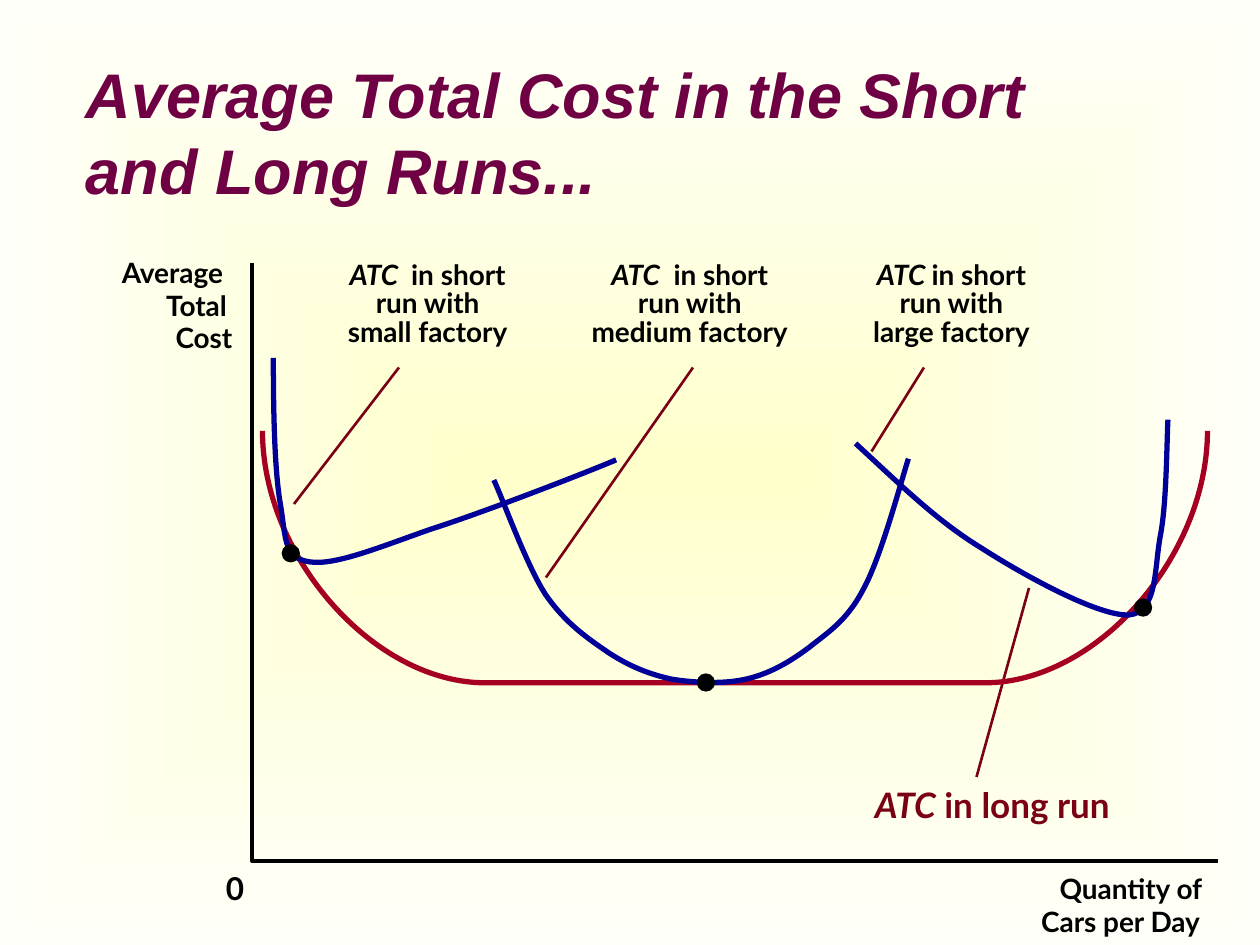
import pptx
import pptx.dml.color
import pptx.enum.shapes
import pptx.enum.text
import pptx.oxml
import pptx.oxml.ns
import pptx.util
from dataclasses import dataclass
from lxml import etree

Pt = pptx.util.Pt
qn = pptx.oxml.ns.qn
RGB = pptx.dml.color.RGBColor
ALIGN = pptx.enum.text.PP_ALIGN
Point = tuple[float, float]

BLACK = RGB(0x00, 0x00, 0x00)
PLUM = RGB(0x6E, 0x00, 0x43)
MAROON = RGB(0x79, 0x00, 0x15)
RED = RGB(0xA5, 0x00, 0x21)
BLUE = RGB(0x00, 0x00, 0x99)
BG_CENTER = RGB(0xFF, 0xFF, 0xCC)
BG_EDGE = RGB(0xFF, 0xFF, 0xFA)

DOT = 9.4    # diameter of a tangency point


@dataclass
class Label:
    """Text box; each line is a list of (text, italic) runs."""
    x: float
    y: float
    w: float
    h: float
    lines: list[list[tuple[str, bool]]]
    size: float = 16
    color: RGB = BLACK
    font: str = "Lato"
    align: ALIGN = ALIGN.LEFT
    spacing: float = 1.0
    inset: Point = (0, 0)
    wrap: bool = False
    middle: bool = False


@dataclass
class Leader:
    start: Point
    end: Point


@dataclass
class Outline:
    """Start point, then segments: (end,) is straight, (control, control, end) is curved."""
    color: RGB
    width: float
    start: Point
    segments: list[tuple[Point, ...]]


def plain(x: float, y: float, w: float, h: float, text: str, size: float = 16) -> Label:
    return Label(x, y, w, h, [[(text, False)]], size)


def factory(x: float, w: float, atc: str, rest: str, size_name: str) -> Label:
    return Label(x, 150, w, 49, [[(atc, True), (rest, False)], [("run with", False)],
                                 [(f"{size_name} factory", False)]],
                 align=ALIGN.CENTER, spacing=0.85)


def add_label(s, label: Label) -> None:
    sp = s.shapes.add_textbox(Pt(label.x), Pt(label.y), Pt(label.w), Pt(label.h))
    tf = sp.text_frame
    tf.word_wrap = label.wrap
    tf.margin_left = tf.margin_right = Pt(label.inset[0])
    tf.margin_top = tf.margin_bottom = Pt(label.inset[1])
    if label.middle:
        tf.vertical_anchor = pptx.enum.text.MSO_ANCHOR.MIDDLE
    else:
        tf.auto_size = pptx.enum.text.MSO_AUTO_SIZE.SHAPE_TO_FIT_TEXT
    for i, line in enumerate(label.lines):
        p = tf.add_paragraph() if i else tf.paragraphs[0]
        p.alignment = label.align
        p.line_spacing = label.spacing
        p.font.name = label.font
        p.font.size = Pt(label.size)
        p.font.bold = True
        p.font.color.rgb = label.color
        for text, italic in line:
            r = p.add_run()
            r.text = text
            r.font.italic = italic


def add_leader(s, leader: Leader) -> None:
    ends = [Pt(v) for v in leader.start + leader.end]
    cx = s.shapes.add_connector(pptx.enum.shapes.MSO_CONNECTOR.STRAIGHT, *ends)
    cx.line.color.rgb = MAROON
    cx.line.width = Pt(1.5)
    etree.SubElement(cx._element.spPr, qn("a:effectLst"))


def add_outline(s, outline: Outline) -> None:
    fb = s.shapes.build_freeform(*map(Pt, outline.start))
    fb.add_line_segments([tuple(map(Pt, seg[-1])) for seg in outline.segments], close=False)
    sp = fb.convert_to_shape()
    # Turn the straight pieces that have control points into Bezier pieces
    pieces = list(sp._element.iter(qn("a:lnTo")))
    for piece, seg in zip(pieces, outline.segments):
        if len(seg) == 3:
            piece.tag = qn("a:cubicBezTo")
            for i, (x, y) in enumerate(seg[:2]):
                pt = etree.Element(qn("a:pt"), x=str(Pt(x) - sp.left), y=str(Pt(y) - sp.top))
                piece.insert(i, pt)
    sp.shadow.inherit = False
    sp.fill.background()
    sp.line.color.rgb = outline.color
    sp.line.width = Pt(outline.width)


def add_dot(s, center: Point) -> None:
    x, y = center
    sp = s.shapes.add_shape(pptx.enum.shapes.MSO_SHAPE.OVAL, Pt(x - DOT / 2),
                            Pt(y - DOT / 2), Pt(DOT), Pt(DOT))
    sp.shadow.inherit = False
    sp.fill.solid()
    sp.fill.fore_color.rgb = BLACK
    sp.line.color.rgb = BLACK
    sp.line.width = Pt(1)


def set_background(s) -> None:
    fill = s.background.fill
    fill.gradient()
    for stop, color in zip(fill.gradient_stops, (BG_CENTER, BG_EDGE)):
        stop.color.rgb = color
    lin = next(s._element.iter(qn("a:lin")))
    lin.getparent().replace(lin, pptx.oxml.parse_xml(
        f'<a:path {pptx.oxml.ns.nsdecls("a")} path="rect">'
        '<a:fillToRect l="50000" t="50000" r="50000" b="50000"/></a:path>'))


LABELS = [
    Label(42, 30, 612, 90, [[("Average Total Cost in the Short and Long Runs...", True)]],
          36, PLUM, "Arial", inset=(7.2, 3.6), wrap=True, middle=True),
    # Axis names and the zero mark
    plain(605.5, 498.2, 91.4, 19.4, "Quantity of"),
    plain(595, 517, 100.8, 19.4, "Cars per Day"),
    plain(129, 496.8, 10, 21.6, "0", 18),
    plain(69.6, 146.2, 66.2, 19.4, "Average"),
    plain(95, 164.9, 40.3, 19.4, "Total"),
    plain(100.3, 183.4, 35.3, 19.4, "Cost"),
    # Curve names
    factory(192.2, 104.4, "ATC ", " in short", "small"),
    factory(330.5, 127.4, "ATC", "  in short", "medium"),
    factory(492.2, 103, "ATC ", "in short", "large"),
    Label(462, 444.2, 210.2, 31.7, [[("ATC", True), (" in long run", False)]],
          20, MAROON, align=ALIGN.CENTER, inset=(7.2, 3.6), wrap=True),
]
LEADERS = [
    Leader((228, 210), (168, 288)),
    Leader((396, 210), (312, 330)),
    Leader((528, 210), (498, 258)),
    Leader((558, 444), (588, 336)),
]
AXES = Outline(BLACK, 2.25, (144, 150), [((144, 492),), ((696, 492),)])
LONG_RUN = Outline(RED, 3, (150, 246.2), [
    ((150, 318.2), (213.8, 390.2), (277.2, 390.2)),
    ((563, 390.2),),
    ((626.4, 390.2), (690, 318.2), (690, 246.2))])
MEDIUM = Outline(BLUE, 3, (282.2, 274.3), [
    ((287.3, 285.1), (301, 323.3), (311.8, 339.8)),
    ((323.3, 356.4), (336.2, 365), (347.8, 373)),
    ((360, 380.9), (370.8, 385.2), (383.8, 388.1)),
    ((396.7, 390.2), (413.3, 391), (426.2, 388.1)),
    ((439.2, 385.2), (450.7, 378.7), (462.2, 370.1)),
    ((473, 361.4), (483.8, 355), (493.2, 337)),
    ((503.3, 319), (514.1, 277.9), (519.1, 262.1))])
LARGE = Outline(BLUE, 3, (488.9, 253.4), [
    ((514.8, 277.2), (535, 297.4), (560.9, 313.2)),
    ((586.8, 329.8), (627.8, 352.1), (645.1, 351.4)),
    ((661.7, 349.9), (659.5, 324.7), (663.1, 306)),
    ((666.7, 287.3), (666.7, 253.4), (667.4, 239.8))])
SMALL = Outline(BLUE, 3, (156.2, 204.5), [
    ((156.2, 238.3), (157, 271.4), (160.6, 290.2)),
    ((163.4, 309.6), (162.7, 319), (177.1, 321.1)),
    ((191.5, 323.3), (217.4, 312.5), (246.2, 302.4)),
    ((275.8, 293), (333.4, 270.7), (352.1, 262.8))])
DOTS = [(403.4, 390), (653.2, 347.2), (166.2, 316.2)]


def main() -> None:
    prs = pptx.Presentation()
    prs.slide_width, prs.slide_height = Pt(720), Pt(540)
    s = prs.slides.add_slide(prs.slide_layouts[6])
    set_background(s)
    for label in LABELS:
        add_label(s, label)
    for leader in LEADERS:
        add_leader(s, leader)
    for outline in (AXES, LONG_RUN, MEDIUM, LARGE, SMALL):
        add_outline(s, outline)
    for center in DOTS:
        add_dot(s, center)
    prs.save("out.pptx")


if __name__ == "__main__":
    main()
